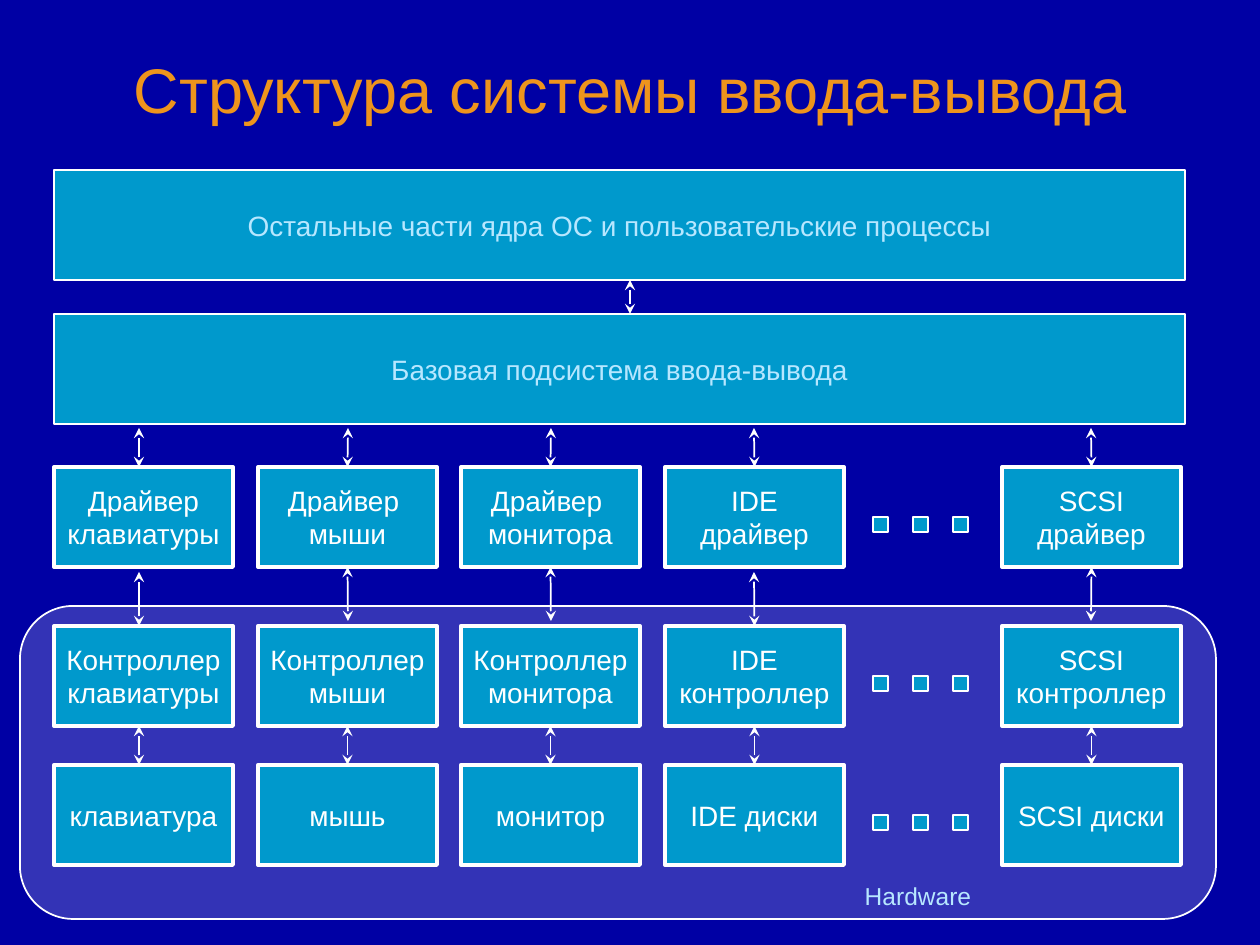
from dataclasses import dataclass

from lxml import etree
from pptx import Presentation
from pptx import util as u
from pptx.dml.color import RGBColor
from pptx.enum import shapes, text
from pptx.oxml.ns import qn

PX_PER_INCH = 126
WHITE, TEAL, PALE = "FFFFFF", "0099CC", "B7E7FF"
NAVY, ORANGE = "0000A4", "EE941C"
FONT = "Arial"
BOX_W, BOX_H = 179, 100
BAR_X, BAR_W, BAR_H = 54, 1131, 110
DOT_X, DOT_PITCH, DOT_SIZE, DOT_DROP = 873, 40, 15, 50


@dataclass
class Column:
    x: int
    arrow_x: int
    joined: bool
    controller_gap: tuple[int, int]
    labels: tuple[str, str, str]


@dataclass
class Bar:
    y: int
    label: str


ROWS = (467, 626, 765)
COLUMNS = [
    Column(54, 139, False, (626, 572),
           ("Драйвер\vклавиатуры", "Контроллер\vклавиатуры", "клавиатура")),
    Column(258, 348, True, (621, 567),
           ("Драйвер \vмыши", "Контроллер\vмыши", "мышь")),
    Column(461, 551, True, (621, 567),
           ("Драйвер \vмонитора", "Контроллер\vмонитора", "монитор")),
    Column(665, 754, True, (626, 572),
           ("IDE\vдрайвер", "IDE\vконтроллер", "IDE диски")),
    Column(1002, 1091, True, (621, 567),
           ("SCSI\vдрайвер", "SCSI\nконтроллер", "SCSI диски")),
]
BARS = [
    Bar(170, "Остальные части ядра ОС и пользовательские процессы"),
    Bar(314, "Базовая подсистема ввода-вывода"),
]


def px(n: int) -> u.Emu:
    return u.Emu(round(n * 914400 / PX_PER_INCH))


def rgb(value: str) -> RGBColor:
    return RGBColor.from_string(value)


def set_text(sp, label: str, size: int, color: str, wrap: bool = False) -> None:
    tf = sp.text_frame
    tf.text = label
    tf.word_wrap = wrap
    tf.vertical_anchor = text.MSO_ANCHOR.MIDDLE
    for p in tf.paragraphs:
        p.alignment = text.PP_ALIGN.CENTER
        for r in p.runs:
            r.font.name = FONT
            r.font.size = u.Pt(size)
            r.font.color.rgb = rgb(color)


def add_box(s, x: int, y: int, w: int, h: int, line: float = 1, fill: str = TEAL,
            kind=shapes.MSO_SHAPE.RECTANGLE):
    sp = s.shapes.add_shape(kind, px(x), px(y), px(w), px(h))
    sp.shadow.inherit = False
    sp.fill.solid()
    sp.fill.fore_color.rgb = rgb(fill)
    sp.line.color.rgb = rgb(WHITE)
    sp.line.width = u.Pt(line)
    return sp


def add_arrow(s, x: int, y1: int, y2: int, below=None, above=None) -> None:
    cn = s.shapes.add_connector(shapes.MSO_CONNECTOR.STRAIGHT, px(x), px(y1), px(x), px(y2))
    if below is not None:
        cn.begin_connect(below, 0)
    if above is not None:
        cn.end_connect(above, 2)
    cn.line.color.rgb = rgb(WHITE)
    cn.line.width = u.Pt(1)
    ln = cn.line._get_or_add_ln()
    for tag in ("a:headEnd", "a:tailEnd"):
        etree.SubElement(ln, qn(tag), type="stealth")
    etree.SubElement(cn._element.spPr, qn("a:effectLst"))


def add_hardware(s) -> None:
    sp = add_box(s, 20, 606, 1196, 313, fill=WHITE, kind=shapes.MSO_SHAPE.ROUNDED_RECTANGLE)
    sp.adjustments[0] = 0.17
    color = sp._element.spPr.find(qn("a:solidFill")).find(qn("a:srgbClr"))
    etree.SubElement(color, qn("a:alpha"), val="20000")
    label = s.shapes.add_textbox(px(819), px(875), px(198), px(42))
    set_text(label, "Hardware", 14, PALE, wrap=True)


def add_column(s, col: Column) -> None:
    boxes = []
    for y, label in zip(ROWS, col.labels):
        sp = add_box(s, col.x, y, BOX_W, BOX_H, line=2.25)
        set_text(sp, label, 16, WHITE)
        boxes.append(sp)
    gaps = ((ROWS[0], 428), col.controller_gap, (ROWS[2], ROWS[1] + BOX_H))
    for i, (y1, y2) in enumerate(gaps):
        below = boxes[i] if col.joined and y1 == ROWS[i] else None
        above = boxes[i - 1] if col.joined and i and y2 == ROWS[i - 1] + BOX_H else None
        add_arrow(s, col.arrow_x, y1, y2, below, above)


def main() -> None:
    prs = Presentation()
    prs.slide_width, prs.slide_height = px(1260), px(945)
    s = prs.slides.add_slide(prs.slide_layouts[5])
    s.background.fill.solid()
    s.background.fill.fore_color.rgb = rgb(NAVY)

    title = s.shapes.title
    title.left, title.top, title.width, title.height = px(44), px(32), px(1173), px(113)
    set_text(title, "Структура системы ввода-вывода", 36, ORANGE, wrap=True)

    add_hardware(s)
    for bar in BARS:
        set_text(add_box(s, BAR_X, bar.y, BAR_W, BAR_H), bar.label, 16, PALE)
    add_arrow(s, 630, BARS[1].y, BARS[0].y + BAR_H)
    for col in COLUMNS:
        add_column(s, col)
    for y in ROWS:
        for i in range(3):
            add_box(s, DOT_X + i * DOT_PITCH, y + DOT_DROP, DOT_SIZE, DOT_SIZE)
    prs.save("out.pptx")


if __name__ == "__main__":
    main()
